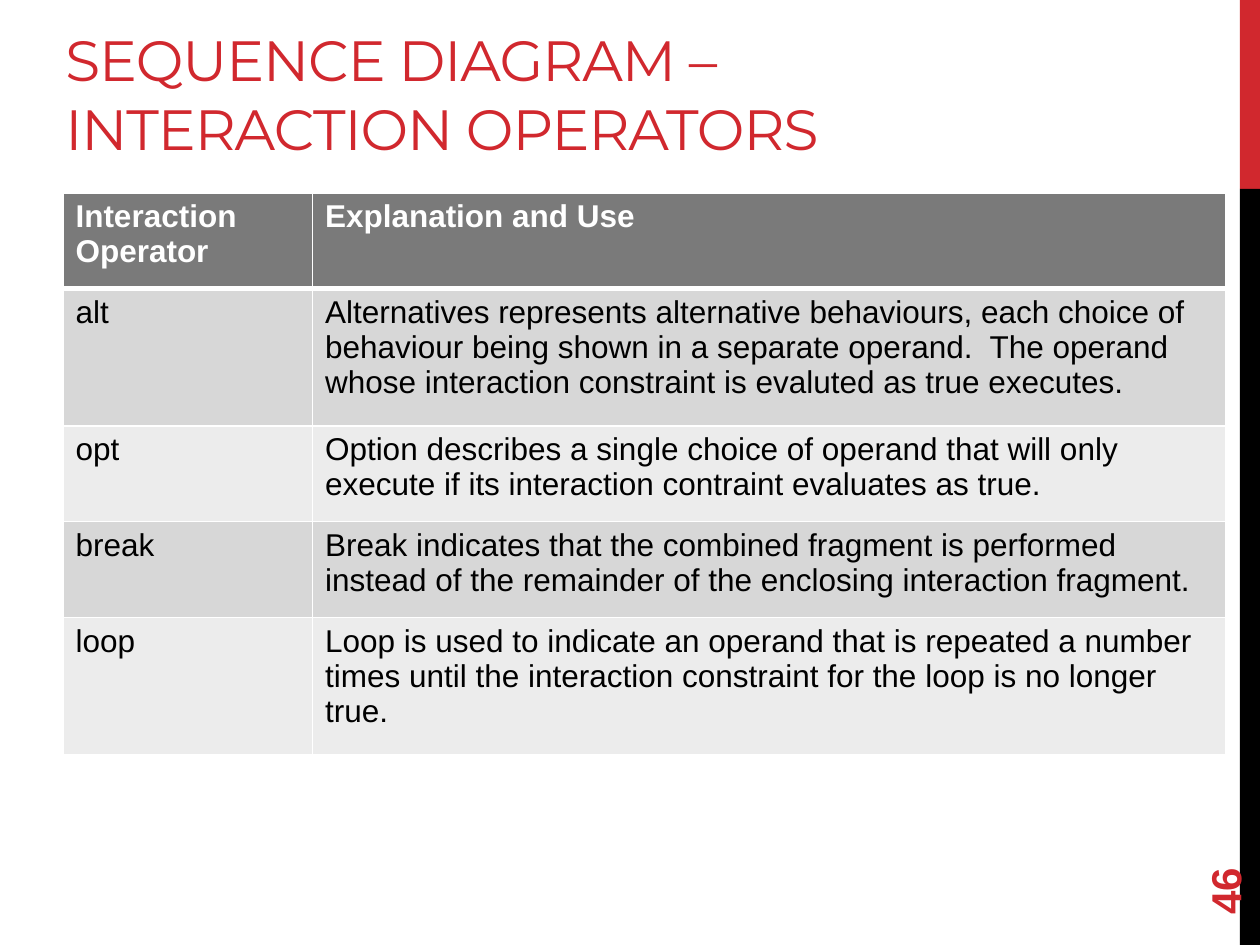
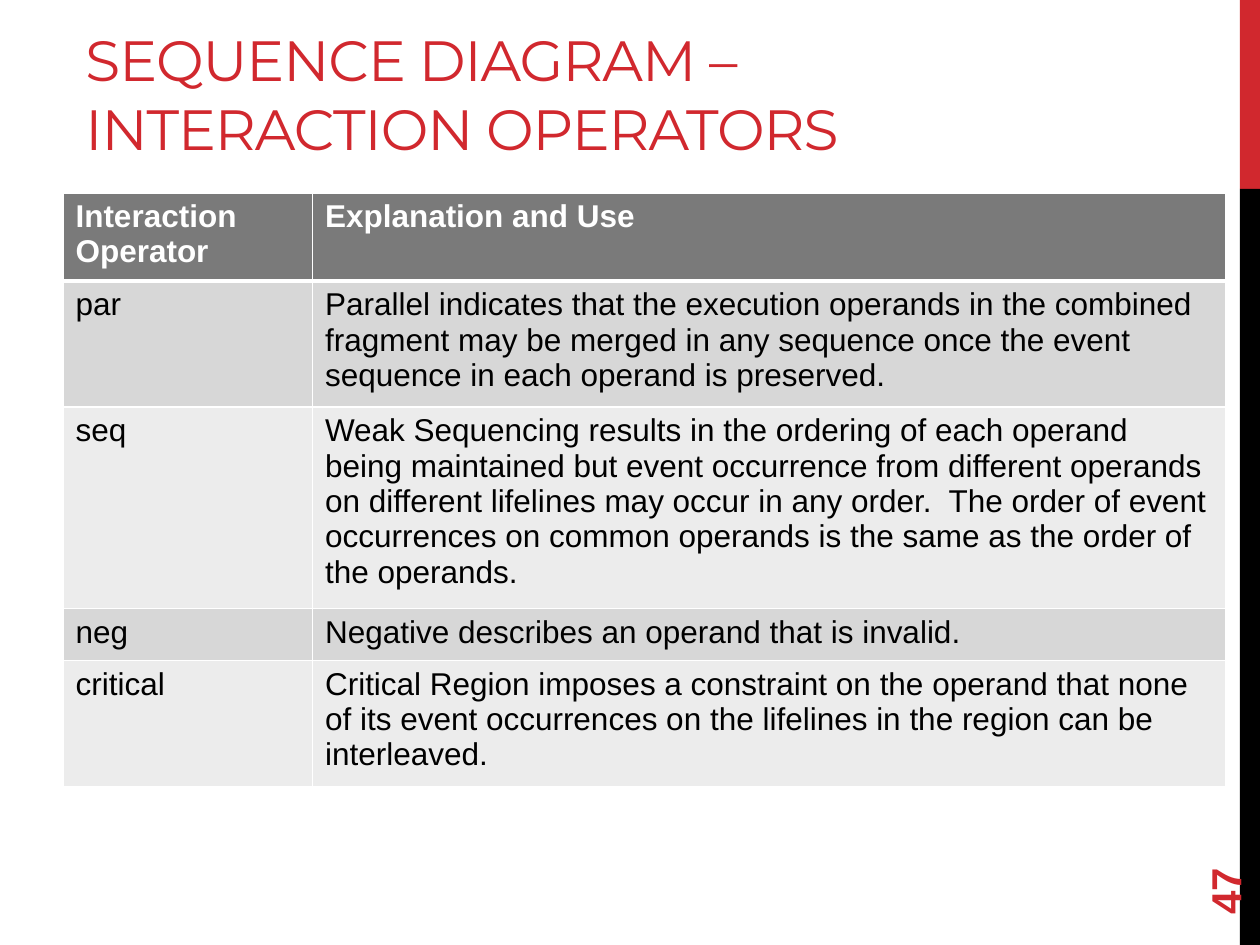
from lxml import etree
from pptx import Presentation
from pptx.dml.color import RGBColor
from pptx.enum import shapes, text
from pptx.oxml import ns
from pptx.util import Inches, Pt

RED = RGBColor(0xD1, 0x28, 0x2E)
BLACK = RGBColor(0x00, 0x00, 0x00)
WHITE = RGBColor(0xFF, 0xFF, 0xFF)
HEADER_GREY = RGBColor(0x7A, 0x7A, 0x7A)
BAND_GREYS = (RGBColor(0xD7, 0xD7, 0xD7), RGBColor(0xEC, 0xEC, 0xEC))

TITLE = "SEQUENCE DIAGRAM – INTERACTION OPERATORS"
HEADINGS = ("Interaction Operator", "Explanation and Use")
COLUMN_WIDTHS = (1.98, 7.25)
SIDE_BANDS = ((RED, 0, 1.5), (BLACK, 1.5, 6))

OPERATOR_SLIDES = (
    {
        "number": "46",
        "title_box": (0.42, 0.25, 8.5, 1.08),
        "row_heights": (0.76, 1.09, 0.76, 0.76, 1.09),
        "operators": (
            ("alt", "Alternatives represents alternative behaviours, each choice of "
                    "behaviour being shown in a separate operand.  The operand whose "
                    "interaction constraint is evaluted as true executes."),
            ("opt", "Option describes a single choice of operand that will only execute "
                    "if its interaction contraint evaluates as true."),
            ("break", "Break indicates that the combined fragment is performed instead "
                      "of the remainder of the enclosing interaction fragment."),
            ("loop", "Loop is used to indicate an operand that is repeated a number "
                     "times until the interaction constraint for the loop is no longer "
                     "true."),
        ),
    },
    {
        "number": "47",
        "title_box": (0.58, 0.25, 8.25, 1.08),
        "row_heights": (0.65, 0.93, 1.49, 0.41, 0.93),
        "operators": (
            ("par", "Parallel indicates that the execution operands in the combined "
                    "fragment may be merged in any sequence once the event sequence in "
                    "each operand is preserved."),
            ("seq", "Weak Sequencing results in the ordering of each operand being "
                    "maintained but event occurrence from different operands on "
                    "different lifelines may occur in any order.  The order of event "
                    "occurrences on common operands is the same as the order of the "
                    "operands."),
            ("neg", "Negative describes an operand that is invalid."),
            ("critical", "Critical Region imposes a constraint on the operand that none "
                         "of its event occurrences on the lifelines in the region can "
                         "be interleaved."),
        ),
    },
)


def write_text(frame, words, size=18, font="Arial", color=BLACK, bold=False,
               anchor=text.MSO_ANCHOR.TOP, spacing=None):
    """Fill a text frame with one formatted run; spacing is in points."""
    frame.word_wrap = True
    frame.vertical_anchor = anchor
    run = frame.paragraphs[0].add_run()
    run.text = words
    run.font.size = Pt(size)
    run.font.name = font
    run.font.bold = bold
    run.font.color.rgb = color
    if spacing is not None:
        run.font._element.set("spc", str(round(spacing * 100)))


def add_text_box(slide, box, words, **text_format):
    shape = slide.shapes.add_textbox(*map(Inches, box))
    write_text(shape.text_frame, words, **text_format)
    return shape


def add_side_bands(slide, left=9.84, width=0.16):
    for color, top, height in SIDE_BANDS:
        band = slide.shapes.add_shape(shapes.MSO_SHAPE.RECTANGLE,
                                      *map(Inches, (left, top, width, height)))
        band.shadow.inherit = False
        band.fill.solid()
        band.fill.fore_color.rgb = color
        band.line.fill.background()


def set_borders(cell, **widths):
    """Draw white cell borders; the L, R, T and B widths are in points."""
    properties = cell._tc.get_or_add_tcPr()
    for position, side in enumerate("LRTB"):
        border = etree.Element(ns.qn(f"a:ln{side}"), w=str(Pt(widths.get(side, 1))))
        fill = etree.SubElement(border, ns.qn("a:solidFill"))
        etree.SubElement(fill, ns.qn("a:srgbClr"), val=str(WHITE))
        properties.insert(position, border)


def add_operator_table(slide, box, row_heights, operators):
    rows = (HEADINGS, *operators)
    frame = slide.shapes.add_table(len(rows), len(HEADINGS), *map(Inches, box))
    table = frame.table
    for column, width in zip(table.columns, COLUMN_WIDTHS):
        column.width = Inches(width)
    for row_index, (words_in_row, height) in enumerate(zip(rows, row_heights)):
        table.rows[row_index].height = Inches(height)
        is_header = row_index == 0
        for column_index, words in enumerate(words_in_row):
            cell = table.cell(row_index, column_index)
            cell.fill.solid()
            cell.fill.fore_color.rgb = (HEADER_GREY if is_header
                                        else BAND_GREYS[(row_index - 1) % 2])
            set_borders(cell, B=3 if is_header else 1)
            write_text(cell.text_frame, words, bold=is_header,
                       color=WHITE if is_header else BLACK)


def add_operator_slide(presentation, number, title_box, row_heights, operators):
    slide = presentation.slides.add_slide(presentation.slide_layouts[6])
    add_side_bands(slide)
    add_text_box(slide, title_box, TITLE, size=32.4, font="Montserrat", color=RED,
                 anchor=text.MSO_ANCHOR.BOTTOM, spacing=-0.6)
    page_number = add_text_box(slide, (9, 6.44, 1.44, 0.4), number, size=24, color=RED,
                               bold=True, anchor=text.MSO_ANCHOR.MIDDLE)
    page_number.rotation = 270
    table_box = (0.5, 1.53, sum(COLUMN_WIDTHS), sum(row_heights))
    add_operator_table(slide, table_box, row_heights, operators)


def main():
    presentation = Presentation()
    presentation.slide_width = Inches(10)
    presentation.slide_height = Inches(7.5)
    for content in OPERATOR_SLIDES:
        add_operator_slide(presentation, **content)
    presentation.save("out.pptx")


if __name__ == "__main__":
    main()
